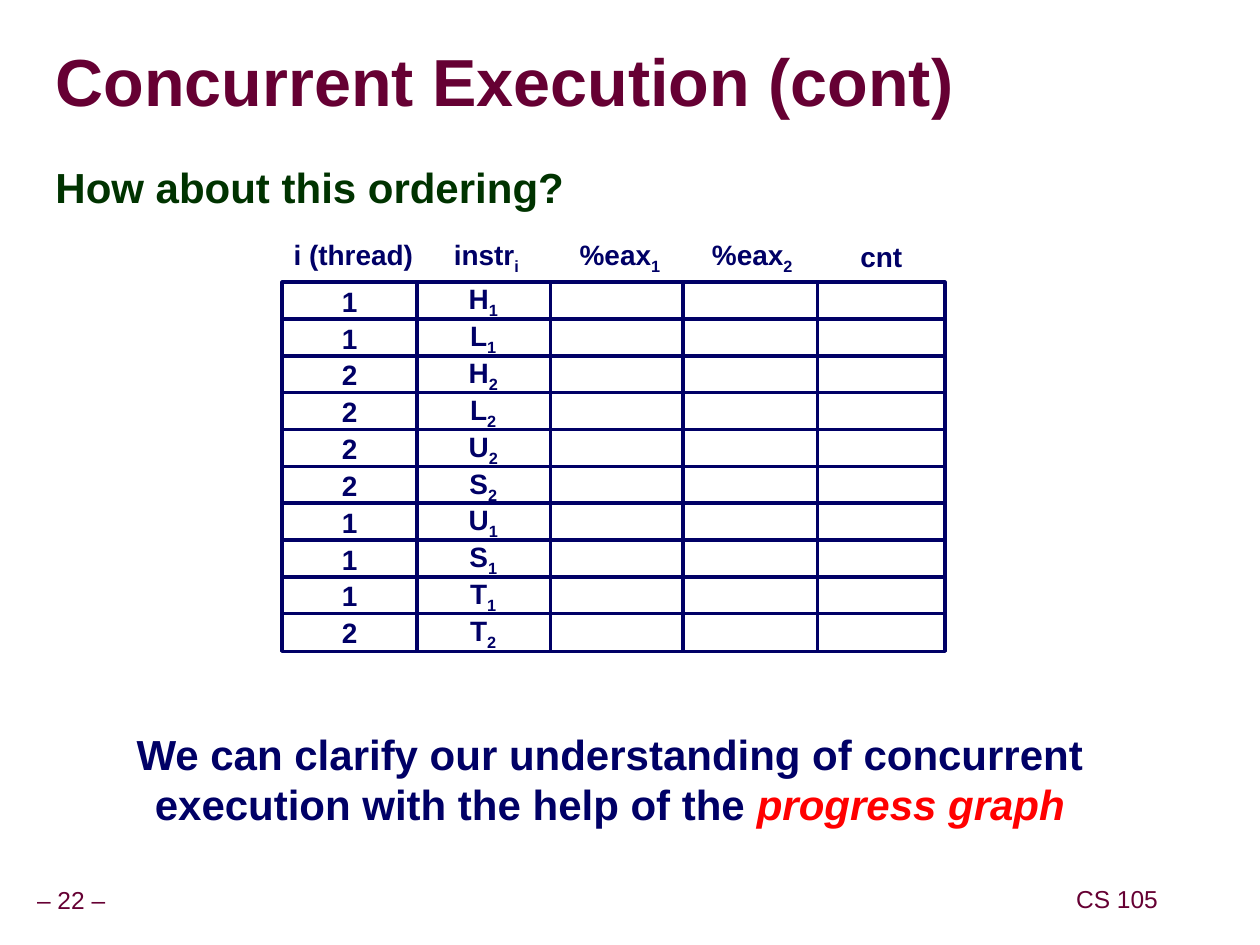
from pptx import Presentation
from pptx.dml.color import RGBColor
from pptx.enum.shapes import MSO_SHAPE as Shape
from pptx.enum.text import MSO_ANCHOR as Anchor, MSO_AUTO_SIZE as AutoSize, PP_ALIGN as Align
from pptx.oxml.ns import qn
from pptx.util import Inches, Pt

MAROON = RGBColor(0x66, 0x00, 0x33)
GREEN = RGBColor(0x00, 0x33, 0x00)
NAVY = RGBColor(0x00, 0x00, 0x66)
RED = RGBColor(0xFF, 0x00, 0x00)
WHITE = RGBColor(0xFF, 0xFF, 0xFF)


def write(para, text, size, color, bold=True, align=Align.CENTER):
    """Fill a paragraph; whatever follows an underscore becomes a subscript."""
    para.alignment = align
    base, _, subscript = text.partition("_")
    for part, baseline in ((base, None), (subscript, "-25000")):
        if not part:
            continue
        span = para.add_run()
        span.text = part
        formats = {"name": "Arial", "size": Pt(size), "bold": bold}
        for key, value in formats.items():
            setattr(span.font, key, value)
        span.font.color.rgb = color
        if baseline:
            span._r.get_or_add_rPr().set("baseline", baseline)


def add_label(page, left, top, width, height, inset=0.1):
    """Add an unwrapped, vertically centred text box and return its frame."""
    box = page.shapes.add_textbox(Inches(left), Inches(top), Inches(width), Inches(height))
    formats = {
        "word_wrap": False,
        "auto_size": AutoSize.SHAPE_TO_FIT_TEXT,
        "vertical_anchor": Anchor.MIDDLE,
        "margin_left": Inches(inset),
        "margin_right": Inches(inset),
    }
    for key, value in formats.items():
        setattr(box.text_frame, key, value)
    return box.text_frame


deck = Presentation()
deck.slide_width, deck.slide_height = Inches(10), Inches(7.5)
page = deck.slides.add_slide(deck.slide_layouts[1])

# Title and body
title, body = page.shapes.title, page.placeholders[1]
for holder, left, top, width, height in (
    (title, 0.44, 0.27, 7.81, 0.82),
    (body, 0.34, 1.26, 9.09, 5.71),
):
    holder.left, holder.top = Inches(left), Inches(top)
    holder.width, holder.height = Inches(width), Inches(height)
    holder.text_frame.auto_size = AutoSize.NONE

title.text_frame.vertical_anchor = Anchor.MIDDLE
for side in ("left", "right", "top", "bottom"):
    setattr(title.text_frame, f"margin_{side}", 0)
heading = title.text_frame.paragraphs[0]
heading.line_spacing = 0.87
write(heading, "Concurrent Execution (cont)", 38, MAROON, align=Align.LEFT)

question = body.text_frame.paragraphs[0]
question.line_spacing = 0.95
question.space_before = Pt(15)
write(question, "How about this ordering?", 24, GREEN, align=Align.LEFT)
properties = question._p.get_or_add_pPr()
properties.set("marL", str(Inches(0.42)))
properties.set("indent", str(Inches(-0.42)))
properties.append(properties.makeelement(qn("a:buNone"), {}))

# Execution grid: the %eax_2 column comes last, over the edge of the cnt column
STEPS = ["H_1", "L_1", "H_2", "L_2", "U_2", "S_2", "U_1", "S_1", "T_1", "T_2"]
THREADS = [step[-1] for step in STEPS]
EMPTY = [""] * len(STEPS)
GRID_TOP, GRID_LAST = 2.24, 4.87
ROW_STEP = (GRID_LAST - GRID_TOP) / (len(STEPS) - 1)

for column_left, entries in (
    (3.3, STEPS), (2.24, THREADS), (4.37, EMPTY), (6.43, EMPTY), (5.42, EMPTY),
):
    for row, entry in enumerate(entries):
        cell = page.shapes.add_shape(
            Shape.RECTANGLE, Inches(column_left), Inches(GRID_TOP + row * ROW_STEP),
            Inches(1.07), Inches(0.3))
        cell.shadow.inherit = False
        cell.fill.solid()
        cell.fill.fore_color.rgb = WHITE
        cell.line.color.rgb = NAVY
        cell.line.width = Pt(2)
        cell.text_frame.vertical_anchor = Anchor.MIDDLE
        write(cell.text_frame.paragraphs[0], entry, 16, NAVY)

# Column headings
for text, left, top, width, height in (
    ("i (thread)", 2.23, 1.83, 1.15, 0.37),
    ("instr_i", 3.46, 1.83, 0.8, 0.41),
    ("%eax_1", 4.48, 1.83, 0.88, 0.41),
    ("%eax_2", 5.53, 1.83, 0.88, 0.41),
    ("cnt", 6.71, 1.85, 0.57, 0.37),
):
    frame = add_label(page, left, top, width, height)
    write(frame.paragraphs[0], text, 16, NAVY)

# Conclusion
frame = add_label(page, 0.98, 5.73, 7.72, 0.9)
write(frame.paragraphs[0], "We can clarify our understanding of concurrent", 24, NAVY)
closing = frame.add_paragraph()
write(closing, "execution with the help of the ", 24, NAVY)
write(closing, "progress graph", 24, RED)
closing.runs[-1].font.italic = True

# Footer
for text, left, top, width in (("– 22 –", -0.09, 7, 1.31), ("CS 105", 8.44, 6.99, 0.85)):
    para = add_label(page, left, top, width, 0.31, inset=0.05).paragraphs[0]
    para.line_spacing = 0.9
    write(para, text, 14, MAROON, bold=False)

deck.save("out.pptx")
